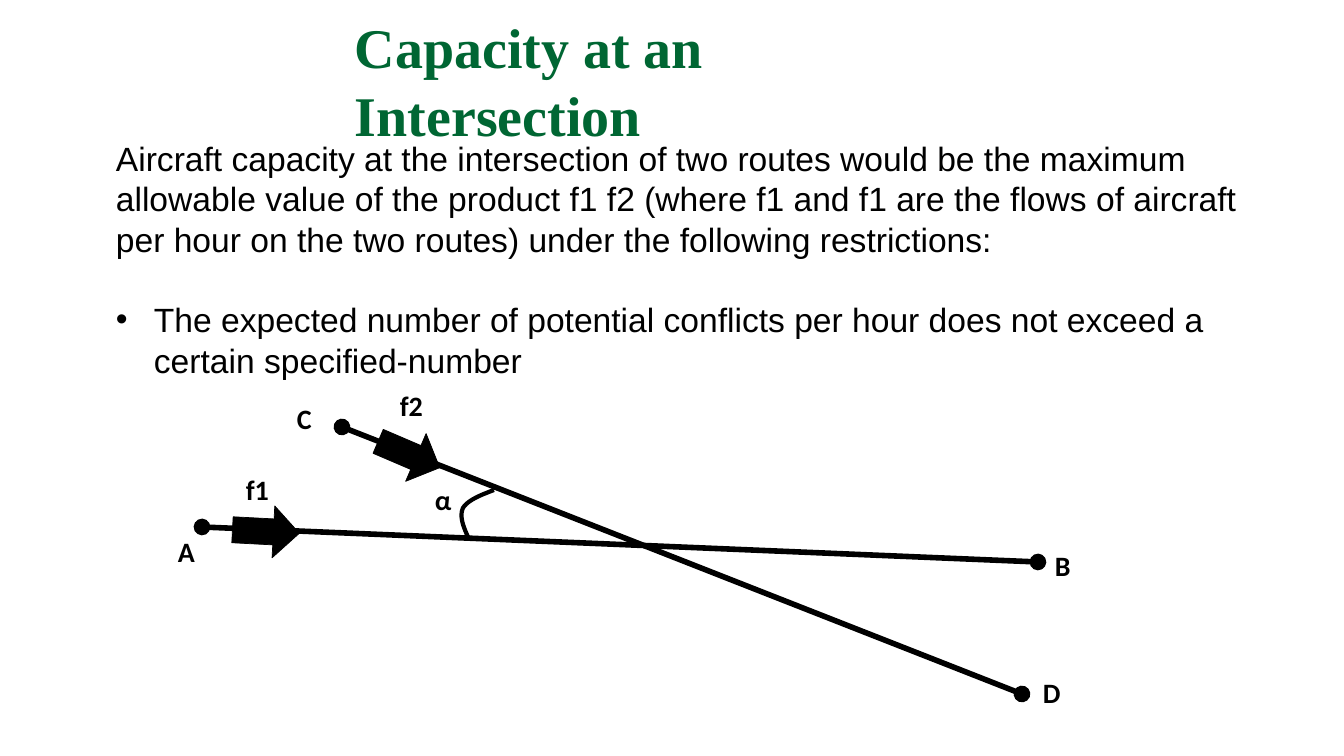
from dataclasses import dataclass

from lxml import etree
from pptx import Presentation
from pptx.dml.color import RGBColor
from pptx.enum.shapes import MSO_CONNECTOR, MSO_SHAPE
from pptx.enum.text import MSO_AUTO_SIZE
from pptx.oxml.ns import qn
from pptx.util import Emu, Pt

STRAIGHT = MSO_CONNECTOR.STRAIGHT
DOWN_ARROW = MSO_SHAPE.DOWN_ARROW
GROW = MSO_AUTO_SIZE.SHAPE_TO_FIT_TEXT
BLACK = RGBColor(0, 0, 0)
GREEN = RGBColor(0x00, 0x66, 0x33)
PX = 914400 / 100.8
Point = tuple[float, float]


def px(n: float) -> Emu:
    return Emu(round(n * PX))


@dataclass
class Font:
    name: str
    size: int
    color: RGBColor = BLACK
    bold: bool = False


@dataclass
class Label:
    text: str
    x: int
    y: int
    wrap: bool = True


@dataclass
class Route:
    start: Point
    end: Point


@dataclass
class Flow:
    x: int
    y: int
    angle: float


TITLE_FONT = Font("Times New Roman", 40, GREEN, True)
BODY_FONT = Font("Arial", 24)
LABEL_FONT = Font("Calibri", 20, bold=True)

ROUTES = [Route((342, 427), (1022, 694)), Route((202, 527), (1038, 562))]
FLOWS = [Flow(383, 421, 293.2), Flow(240, 498, 273)]
LABELS = [
    Label("C", 287, 397), Label("A", 168, 530),
    Label("B", 1045, 544), Label("D", 1033, 671),
    Label("f2", 390, 384, False), Label("f1", 236, 468, False),
    Label("α", 425, 478),
]
ANGLE_CURVES = [
    ((469, 539), (464, 528), (459, 517), (463, 508)),
    ((463, 508), (468, 500), (481, 495), (494, 490)),
]
TITLE = "Capacity at an Intersection"
INTRO = ("Aircraft capacity at the intersection of two routes would be the maximum "
         "allowable value of the product f1 f2 (where f1 and f1 are the flows of "
         "aircraft per hour on the two routes) under the following restrictions:")
RESTRICTION = ("The expected number of potential conflicts per hour does not exceed "
               "a certain specified-number")


def add_run(p, text: str, font: Font) -> None:
    r = p.add_run()
    r.text = text
    r.font.name, r.font.size, r.font.bold = font.name, Pt(font.size), font.bold
    r.font.color.rgb = font.color


def add_text(s, x: int, y: int, w: int, h: int, text: str, font: Font, wrap: bool = True):
    tf = s.shapes.add_textbox(px(x), px(y), px(w), px(h)).text_frame
    tf.word_wrap = wrap
    tf.auto_size = GROW
    add_run(tf.paragraphs[0], text, font)
    return tf


def add_bullet(p, indent: int) -> None:
    pPr = p._p.get_or_add_pPr()
    pPr.set("marL", str(px(indent)))
    pPr.set("indent", str(-px(indent)))
    etree.SubElement(pPr, qn("a:buFont")).set("typeface", "Arial")
    etree.SubElement(pPr, qn("a:buChar")).set("char", "•")


def add_route(s, route: Route) -> None:
    c = s.shapes.add_connector(STRAIGHT, *map(px, route.start + route.end))
    c.line.color.rgb = BLACK
    c.line.width = Pt(4)
    ln = c.line._get_or_add_ln()
    for end in ("a:headEnd", "a:tailEnd"):
        etree.SubElement(ln, qn(end)).set("type", "oval")
    etree.SubElement(c._element.spPr, qn("a:effectLst"))


def add_flow(s, flow: Flow) -> None:
    sp = s.shapes.add_shape(DOWN_ARROW, px(flow.x), px(flow.y), px(52), px(67))
    sp.rotation = flow.angle
    sp.shadow.inherit = False
    sp.fill.solid()
    sp.fill.fore_color.rgb = BLACK
    sp.line.color.rgb = BLACK
    sp.line.width = Pt(0.5)


def bezier(curve: tuple[Point, ...], t: float) -> Point:
    weights = ((1 - t) ** 3, 3 * t * (1 - t) ** 2, 3 * t * t * (1 - t), t ** 3)
    return (sum(w * x for w, (x, _) in zip(weights, curve)),
            sum(w * y for w, (_, y) in zip(weights, curve)))


def add_angle(s, curves: list[tuple[Point, ...]], steps: int = 12) -> None:
    points = [bezier(c, i / steps) for c in curves for i in range(1, steps + 1)]
    x, y = curves[0][0]
    fb = s.shapes.build_freeform(px(x), px(y))
    fb.add_line_segments([(px(x), px(y)) for x, y in points], close=False)
    sp = fb.convert_to_shape()
    sp.shadow.inherit = False
    sp.fill.background()
    sp.line.color.rgb = BLACK
    sp.line.width = Pt(3)


prs = Presentation()
prs.slide_width, prs.slide_height = px(1344), px(756)
s = prs.slides.add_slide(prs.slide_layouts[6])

# Title
add_text(s, 345, 8, 660, 78, TITLE, TITLE_FONT)

# Crossing routes, their angle and flows
for route in ROUTES:
    add_route(s, route)
add_angle(s, ANGLE_CURVES)
for flow in FLOWS:
    add_flow(s, flow)

# Labels
for label in LABELS:
    add_text(s, label.x, label.y, 43, 44, label.text, LABEL_FONT, label.wrap)

# Explanation
tf = add_text(s, 106, 133, 1141, 254, INTRO, BODY_FONT)
p = tf.add_paragraph()
p.space_before = Pt(28.8)
add_bullet(p, 38)
add_run(p, RESTRICTION, BODY_FONT)

prs.save("out.pptx")
